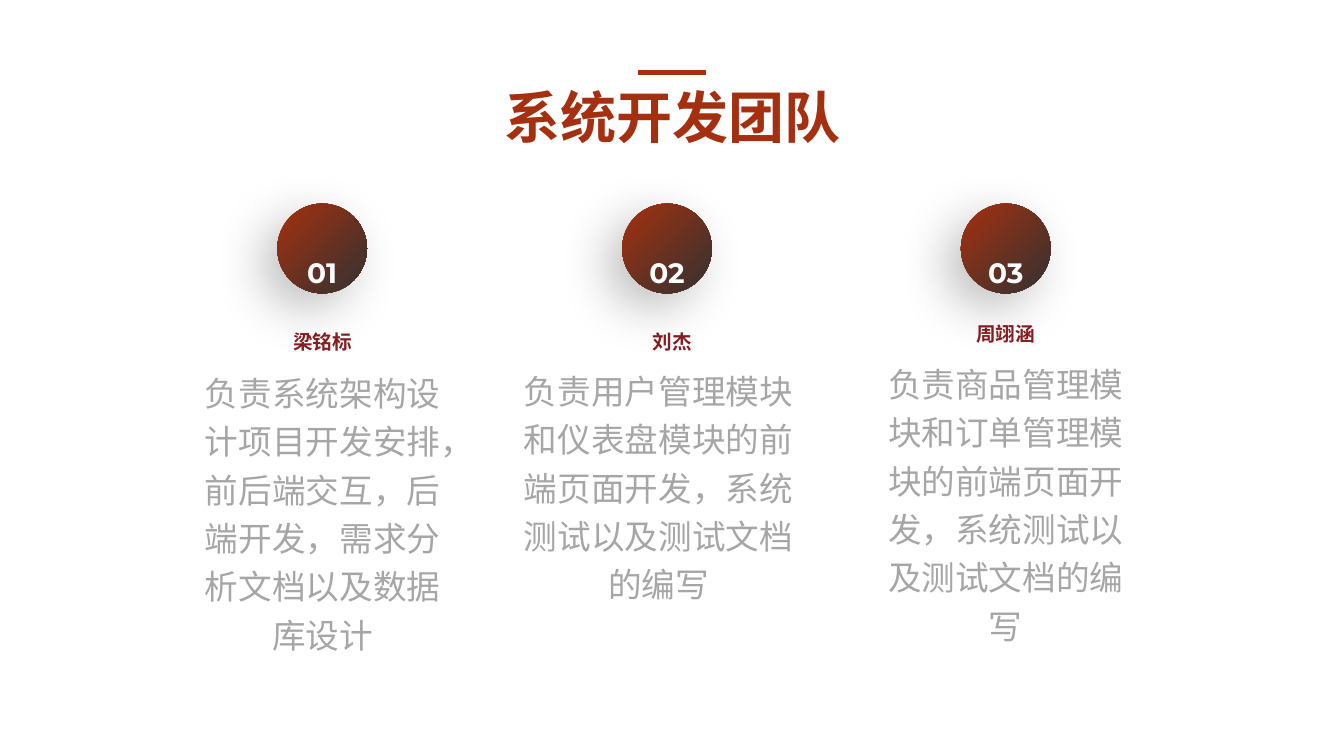
from dataclasses import dataclass

from lxml import etree
from pptx import Presentation
from pptx.dml.color import RGBColor
from pptx.enum.shapes import MSO_CONNECTOR, MSO_SHAPE
from pptx.enum.text import MSO_ANCHOR, MSO_AUTO_SIZE, PP_ALIGN
from pptx.oxml.ns import qn
from pptx.util import Inches, Pt

CENTER = PP_ALIGN.CENTER
TOP, MIDDLE = MSO_ANCHOR.TOP, MSO_ANCHOR.MIDDLE
FIXED_SIZE = MSO_AUTO_SIZE.NONE
OVAL = MSO_SHAPE.OVAL
STRAIGHT = MSO_CONNECTOR.STRAIGHT
TITLE_ONLY = 5


@dataclass(frozen=True)
class Theme:
    """Colours, fonts and type sizes of the slide."""
    accent: RGBColor = RGBColor(0xA5, 0x30, 0x0F)
    dark: RGBColor = RGBColor(0x32, 0x32, 0x32)
    name: RGBColor = RGBColor(0x86, 0x1F, 0x21)
    grey: RGBColor = RGBColor(0xA6, 0xA6, 0xA6)
    white: RGBColor = RGBColor(0xFF, 0xFF, 0xFF)
    title_font: str = "Noto Sans CJK SC"
    label_font: str = "Montserrat"
    body_font: str = "Calibri"
    title_size: int = 40
    body_size: int = 24
    number_size: int = 20
    name_size: int = 14


THEME = Theme()


@dataclass(frozen=True)
class Member:
    """One team member; lengths are in inches."""
    name: str
    duty: str
    circle_left: float
    name_left: float
    name_top: float
    duty_left: float
    duty_top: float
    width: float
    duty_height: float


TEAM = [
    Member("梁铭标",
           "负责系统架构设计项目开发安排，前后端交互，后端开发，需求分析文档以及数据库设计",
           2.75, 1.85, 3.22, 1.85, 3.57, 2.7, 3.01),
    Member("刘杰",
           "负责用户管理模块和仪表盘模块的前端页面开发，系统测试以及测试文档的编写",
           6.17, 5.21, 3.22, 5.07, 3.55, 2.92, 2.52),
    Member("周翊涵",
           "负责商品管理模块和订单管理模块的前端页面开发，系统测试以及测试文档的编写",
           9.53, 8.59, 3.14, 8.59, 3.48, 2.77, 3.01),
]
CIRCLE_TOP, CIRCLE_SIZE = 2.02, 0.89
NUMBER_TOP, NUMBER_WIDTH, NUMBER_HEIGHT = 2.48, 0.55, 0.44


def write_text(shape, text, font_name, size, color, bold=False,
               spacing=1.0, anchor=TOP, wrap=True):
    """Fill a shape with one centred, formatted paragraph."""
    frame = shape.text_frame
    frame.text = text
    frame.word_wrap = wrap
    frame.auto_size = FIXED_SIZE
    frame.vertical_anchor = anchor
    paragraph = frame.paragraphs[0]
    paragraph.alignment = CENTER
    paragraph.line_spacing = spacing
    font = paragraph.font
    font.name = font_name
    font.size = Pt(size)
    font.bold = bold
    font.color.rgb = color


def add_text(slide, left, top, width, height, *content, **options):
    """Add a text box with one formatted paragraph."""
    box = slide.shapes.add_textbox(
        Inches(left), Inches(top), Inches(width), Inches(height))
    write_text(box, *content, **options)


def add_title(slide, text):
    """Place the title and the short rule above it."""
    title = slide.shapes.title
    title.left, title.top = Inches(4.23), Inches(0.77)
    title.width, title.height = Inches(4.88), Inches(0.77)
    write_text(title, text, THEME.title_font, THEME.title_size,
               THEME.accent, bold=True)
    latin = title.text_frame.paragraphs[0].font
    latin.name = THEME.title_font
    rule = slide.shapes.add_connector(
        STRAIGHT, Inches(6.33), Inches(0.72), Inches(7), Inches(0.72))
    rule.line.color.rgb = THEME.accent
    rule.line.width = Pt(3.5)
    etree.SubElement(rule.element.spPr, qn("a:effectLst"))


def add_soft_shadow(shape):
    """Give a shape a blurred shadow towards the lower left."""
    shape.shadow.inherit = False
    effects = shape.element.spPr.find(qn("a:effectLst"))
    shadow = etree.SubElement(
        effects, qn("a:outerShdw"), blurRad=str(Pt(37)), dist=str(Pt(15)),
        dir=str(135 * 60000), algn="tr", rotWithShape="0")
    color = etree.SubElement(shadow, qn("a:srgbClr"), val="000000")
    etree.SubElement(color, qn("a:alpha"), val="25000")


def add_badge(slide, left, number):
    """Add a gradient circle with its number."""
    circle = slide.shapes.add_shape(
        OVAL, Inches(left), Inches(CIRCLE_TOP),
        Inches(CIRCLE_SIZE), Inches(CIRCLE_SIZE))
    circle.line.fill.background()
    circle.fill.gradient()
    circle.fill.gradient_angle = 315
    for stop, color in zip(circle.fill.gradient_stops,
                           (THEME.accent, THEME.dark)):
        stop.color.rgb = color
    add_soft_shadow(circle)
    number_left = left + (CIRCLE_SIZE - NUMBER_WIDTH) / 2
    add_text(slide, number_left, NUMBER_TOP, NUMBER_WIDTH, NUMBER_HEIGHT,
             f"{number:02d}", THEME.label_font, THEME.number_size,
             THEME.white, bold=True, anchor=MIDDLE, wrap=False)


def add_member(slide, number, member):
    """Add the duty, name and badge of one team member."""
    add_text(slide, member.duty_left, member.duty_top, member.width,
             member.duty_height, member.duty, THEME.body_font,
             THEME.body_size, THEME.grey, spacing=1.2)
    add_text(slide, member.name_left, member.name_top, member.width, 0.34,
             member.name, THEME.label_font, THEME.name_size, THEME.name,
             bold=True)
    add_badge(slide, member.circle_left, number)


def main():
    """Build and save the slide."""
    presentation = Presentation()
    presentation.slide_width = Inches(13.33)
    presentation.slide_height = Inches(7.5)
    slide = presentation.slides.add_slide(
        presentation.slide_layouts[TITLE_ONLY])
    add_title(slide, "系统开发团队")
    for number, member in enumerate(TEAM, start=1):
        add_member(slide, number, member)
    presentation.save("out.pptx")


if __name__ == "__main__":
    main()
